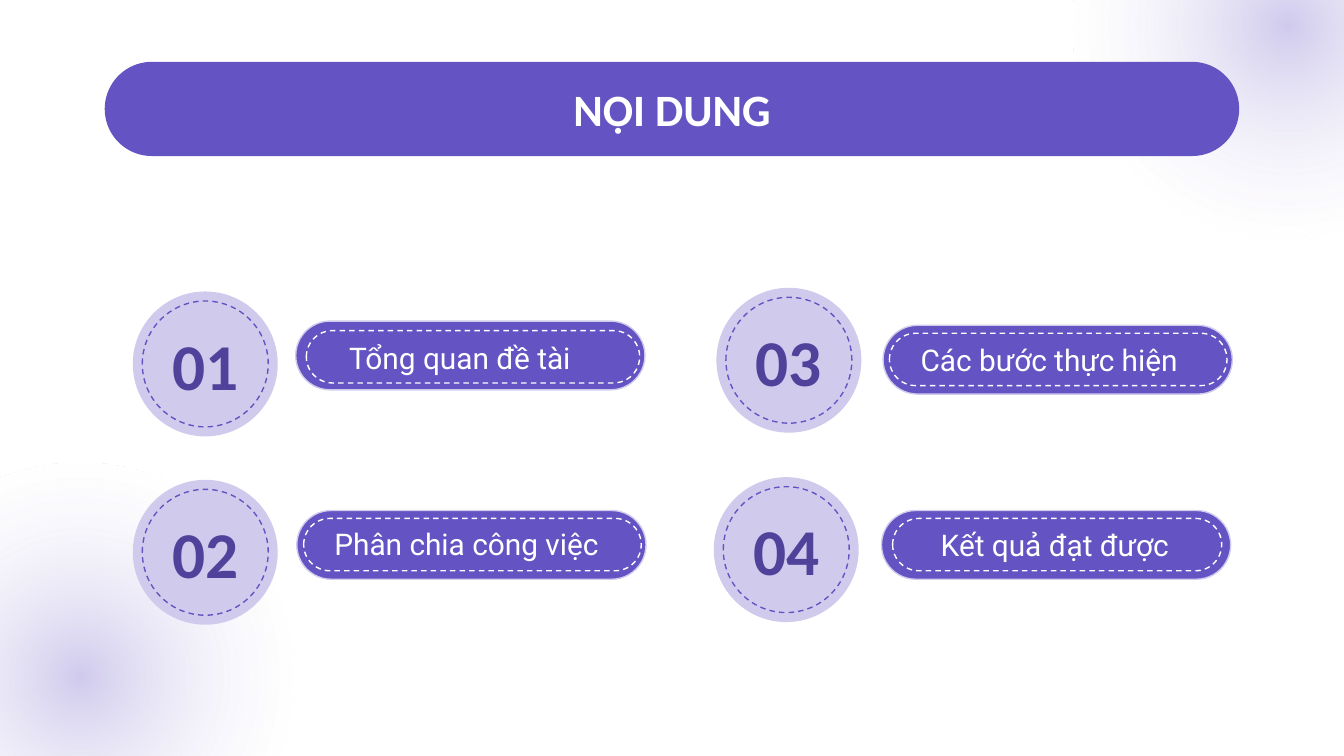
from dataclasses import dataclass

from lxml.etree import fromstring
from pptx import Presentation
from pptx.dml.color import RGBColor
from pptx.enum.dml import MSO_LINE
from pptx.enum.shapes import MSO_SHAPE
from pptx.enum.text import MSO_ANCHOR, PP_ALIGN
from pptx.oxml.ns import qn
from pptx.util import Cm, Pt

TITLE = "NỌI DUNG"
TOPICS = [
    {"number": "01", "label": "Tổng quan đề tài", "circle": (2.51, 5.51),
     "pill": (5.59, 6.07), "dash": (5.79, 6.25, 6.3), "text": (6.35, 6.24)},
    {"number": "02", "label": "Phân chia công việc", "circle": (2.51, 9.07),
     "pill": (5.61, 9.65), "dash": (5.74, 9.8, 6.38), "text": (6.07, 9.77)},
    {"number": "03", "label": "Các bước thực hiện", "circle": (13.54, 5.44),
     "pill": (16.69, 6.15), "dash": (16.81, 6.3, 6.38), "text": (17.15, 6.29)},
    {"number": "04", "label": "Kết quả đạt được", "circle": (13.49, 9.02),
     "pill": (16.66, 9.65), "dash": (16.87, 9.8, 6.22), "text": (17.53, 9.79)},
]
GLOWS = [(-2.54, 8.74), (20.27, -3.58)]
GLOW_SIZE = 8.1
CIRCLE_SIZE, RING_SIZE = 2.74, 2.38
PILL_WIDTH, PILL_HEIGHT, DASH_HEIGHT = 6.6, 1.3, 0.99
NUMBER_WIDTH, NUMBER_HEIGHT = 2.18, 1.32
LABEL_WIDTH, LABEL_HEIGHT = 5.6, 1.1


@dataclass(frozen=True)
class Theme:
    purple: str = "6453C2"
    lavender: str = "D0CBED"
    deep: str = "50429B"
    white: str = "FFFFFF"
    heading_font: str = "Calibri"
    body_font: str = "Roboto"
    title_size: float = 24
    number_size: float = 35
    label_size: float = 16
    line_width: float = 0.75


THEME = Theme()


def add_figure(page, kind, area, fill=None, line=None, dashed=False):
    """Add a preset shape with an optional fill and outline."""
    figure = page.shapes.add_shape(kind, *map(Cm, area))
    figure.shadow.inherit = False
    if kind == MSO_SHAPE.ROUNDED_RECTANGLE:
        figure.adjustments[0] = 0.5
    if fill:
        figure.fill.solid()
        figure.fill.fore_color.rgb = RGBColor.from_string(fill)
    else:
        figure.fill.background()
    if line:
        figure.line.color.rgb = RGBColor.from_string(line)
        figure.line.width = Pt(THEME.line_width)
        if dashed:
            figure.line.dash_style = MSO_LINE.DASH
    else:
        figure.line.fill.background()
    return figure


def add_glow(page, left, top):
    """Add a circle that fades from lavender to white."""
    glow = add_figure(page, MSO_SHAPE.OVAL, (left, top, GLOW_SIZE, GLOW_SIZE))
    gradient = fromstring(
        '<a:gradFill xmlns:a="http://schemas.openxmlformats.org/drawingml/2006/main"><a:gsLst>'
        f'<a:gs pos="0"><a:srgbClr val="{THEME.lavender}"/></a:gs>'
        f'<a:gs pos="72000"><a:srgbClr val="{THEME.white}"><a:alpha val="27000"/></a:srgbClr></a:gs>'
        f'<a:gs pos="100000"><a:srgbClr val="{THEME.white}"/></a:gs></a:gsLst>'
        '<a:path path="circle"><a:fillToRect l="50000" t="50000" r="50000" b="50000"/></a:path>'
        '</a:gradFill>'
    )
    properties = glow.element.spPr
    properties.replace(properties.find(qn("a:noFill")), gradient)


def add_text(page, text, area, font, size, color, bold=False,
             align=PP_ALIGN.LEFT, anchor=MSO_ANCHOR.TOP):
    """Add a text box holding one formatted line."""
    box = page.shapes.add_textbox(*map(Cm, area))
    frame = box.text_frame
    frame.word_wrap = True
    frame.vertical_anchor = anchor
    frame.margin_left = frame.margin_right = Cm(0.25)
    frame.margin_top = frame.margin_bottom = Cm(0.25)
    para = frame.paragraphs[0]
    para.alignment = align
    span = para.add_run()
    span.text = text
    span.font.name = font
    span.font.size = Pt(size)
    span.font.bold = bold
    span.font.color.rgb = RGBColor.from_string(color)


def add_topic(page, topic):
    """Add a numbered circle with its labelled pill."""
    left, top = topic["circle"]
    dash_left, dash_top, dash_width = topic["dash"]
    inset = (CIRCLE_SIZE - RING_SIZE) / 2
    add_figure(page, MSO_SHAPE.ROUNDED_RECTANGLE, (*topic["pill"], PILL_WIDTH, PILL_HEIGHT),
               fill=THEME.purple, line=THEME.lavender)
    add_figure(page, MSO_SHAPE.ROUNDED_RECTANGLE,
               (dash_left, dash_top, dash_width, DASH_HEIGHT), line=THEME.white, dashed=True)
    add_figure(page, MSO_SHAPE.OVAL, (left, top, CIRCLE_SIZE, CIRCLE_SIZE), fill=THEME.lavender)
    add_figure(page, MSO_SHAPE.OVAL, (left + inset, top + inset, RING_SIZE, RING_SIZE),
               line=THEME.purple, dashed=True)
    add_text(page, topic["label"], (*topic["text"], LABEL_WIDTH, LABEL_HEIGHT),
             font=THEME.body_font, size=THEME.label_size, color=THEME.white,
             anchor=MSO_ANCHOR.BOTTOM)
    number_left = left + (CIRCLE_SIZE - NUMBER_WIDTH) / 2
    number_top = top + (CIRCLE_SIZE - NUMBER_HEIGHT) / 2
    add_text(page, topic["number"], (number_left, number_top, NUMBER_WIDTH, NUMBER_HEIGHT),
             font=THEME.heading_font, size=THEME.number_size, color=THEME.deep, bold=True,
             align=PP_ALIGN.CENTER, anchor=MSO_ANCHOR.MIDDLE)


def main():
    """Build and save the contents slide."""
    deck = Presentation()
    deck.slide_width, deck.slide_height = Cm(25.4), Cm(14.29)
    page = deck.slides.add_slide(deck.slide_layouts[6])
    for left, top in GLOWS:
        add_glow(page, left, top)
    add_figure(page, MSO_SHAPE.ROUNDED_RECTANGLE, (1.98, 1.17, 21.44, 1.78), fill=THEME.purple)
    add_text(page, TITLE, (1.98, 1.3, 21.44, 1.3), font=THEME.heading_font,
             size=THEME.title_size, color=THEME.white, bold=True, align=PP_ALIGN.CENTER)
    for topic in TOPICS:
        add_topic(page, topic)
    deck.save("out.pptx")


if __name__ == "__main__":
    main()
